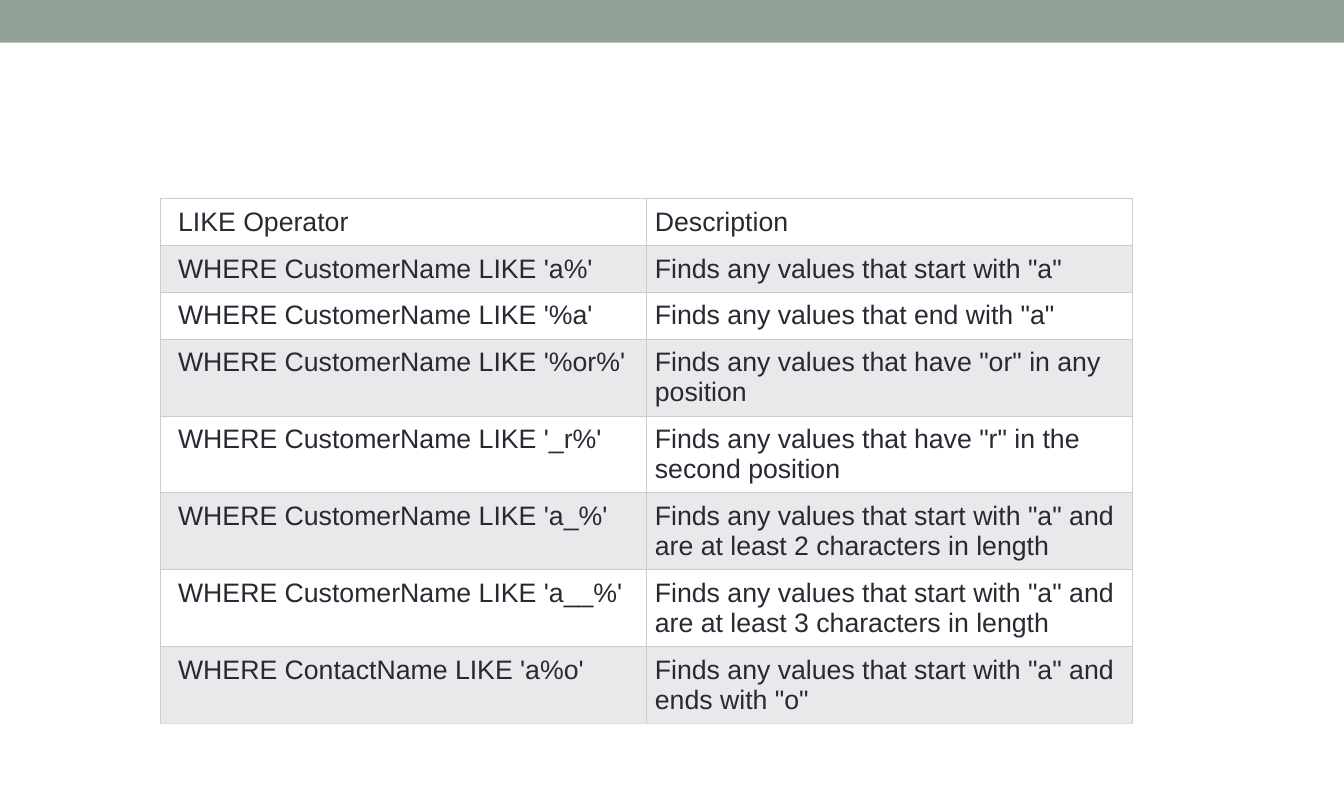
"""Build a slide with a table of SQL LIKE operator patterns."""
from lxml.etree import SubElement
from pptx import Presentation
from pptx.dml.color import RGBColor
from pptx.enum.shapes import MSO_SHAPE
from pptx.oxml.ns import qn
from pptx.util import Inches, Pt

COLORS = {
    "bar": "93A299",
    "text": "292934",
    "plain": "FFFFFF",
    "band": "E7E9EB",
    "border": "CCCCCC",
    "last_border": "DDDDDD",
}
PATTERNS = [
    ("LIKE Operator", "Description", 1),
    ("WHERE CustomerName LIKE 'a%'", 'Finds any values that start with "a"', 1),
    ("WHERE CustomerName LIKE '%a'", 'Finds any values that end with "a"', 1),
    ("WHERE CustomerName LIKE '%or%'", 'Finds any values that have "or" in any position', 2),
    ("WHERE CustomerName LIKE '_r%'", 'Finds any values that have "r" in the second position', 2),
    ("WHERE CustomerName LIKE 'a_%'",
     'Finds any values that start with "a" and are at least 2 characters in length', 2),
    ("WHERE CustomerName LIKE 'a__%'",
     'Finds any values that start with "a" and are at least 3 characters in length', 2),
    ("WHERE ContactName LIKE 'a%o'", 'Finds any values that start with "a" and ends with "o"', 2),
]
COLUMN_WIDTH = 4.56
LINE_HEIGHT = 0.28
PADDING = 0.08


def write_text(cell, text, *, font="Arial", size=18, color="text", left=PADDING):
    cell.margin_left = Inches(left)
    cell.margin_right = cell.margin_top = cell.margin_bottom = Inches(PADDING)
    run = cell.text_frame.paragraphs[0].add_run()
    run.text = text
    run.font.name = font
    run.font.size = Pt(size)
    run.font.color.rgb = RGBColor.from_string(COLORS[color])


def draw_border(cell, side, color):
    line = SubElement(cell._tc.get_or_add_tcPr(), qn(f"a:ln{side}"), w=str(Pt(0.75)))
    fill = SubElement(line, qn("a:solidFill"))
    SubElement(fill, qn("a:srgbClr"), val=COLORS[color])


presentation = Presentation()
presentation.slide_width = Inches(12.6)
presentation.slide_height = Inches(7.5)
slide = presentation.slides.add_slide(presentation.slide_layouts[6])

bar = slide.shapes.add_shape(MSO_SHAPE.RECTANGLE, 0, 0, presentation.slide_width, Inches(0.4))
bar.shadow.inherit = False
bar.fill.solid()
bar.fill.fore_color.rgb = RGBColor.from_string(COLORS["bar"])
bar.line.fill.background()

heights = [Inches(lines * LINE_HEIGHT + 2 * PADDING) for *_, lines in PATTERNS]
table = slide.shapes.add_table(
    len(PATTERNS), 2, Inches(1.5), Inches(1.86), Inches(2 * COLUMN_WIDTH), sum(heights)
).table
table.first_row = False
table.horz_banding = False
for column in table.columns:
    column.width = Inches(COLUMN_WIDTH)

for row_index, (operator, description, _) in enumerate(PATTERNS):
    table.rows[row_index].height = heights[row_index]
    is_last = row_index == len(PATTERNS) - 1
    for column_index, text in enumerate((operator, description)):
        cell = table.cell(row_index, column_index)
        write_text(cell, text, left=PADDING if column_index else 0.17)
        for side in "LRTB":
            draw_border(cell, side, "last_border" if is_last and side == "B" else "border")
        cell.fill.solid()
        cell.fill.fore_color.rgb = RGBColor.from_string(COLORS["band" if row_index % 2 else "plain"])

presentation.save("out.pptx")
